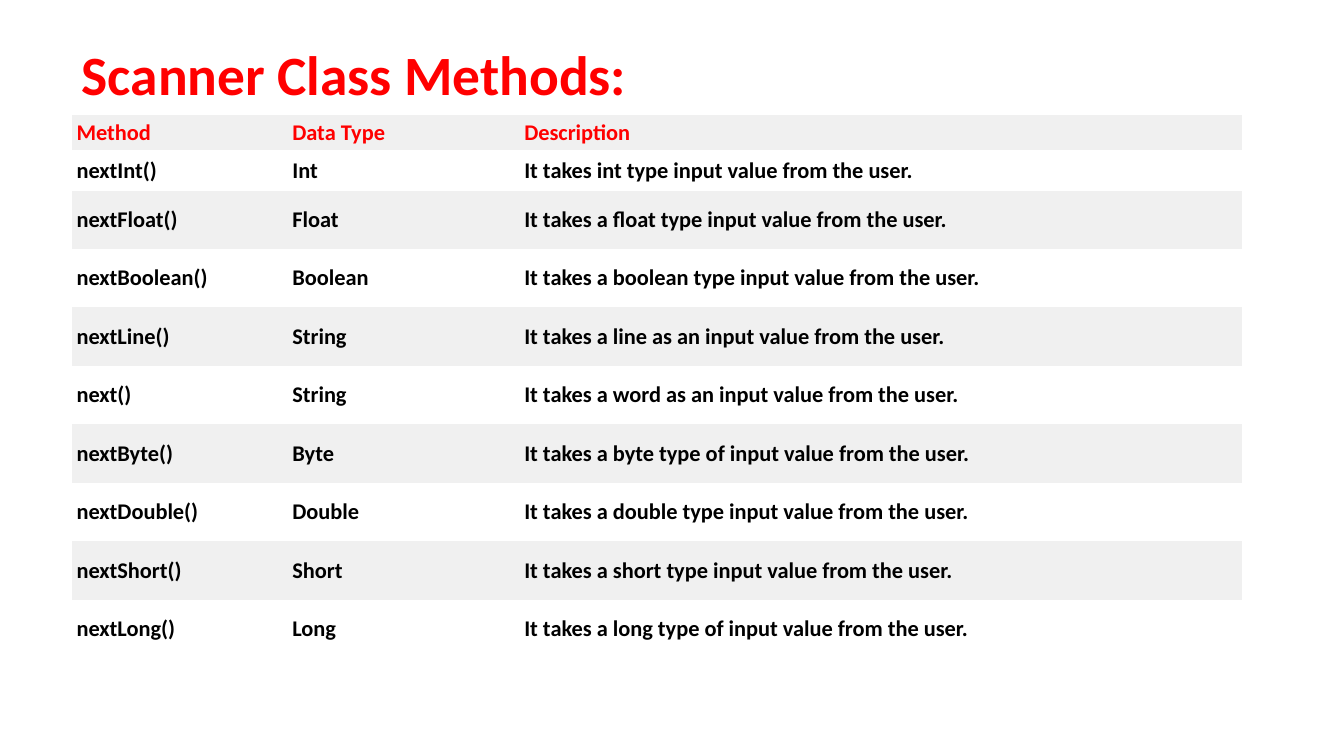
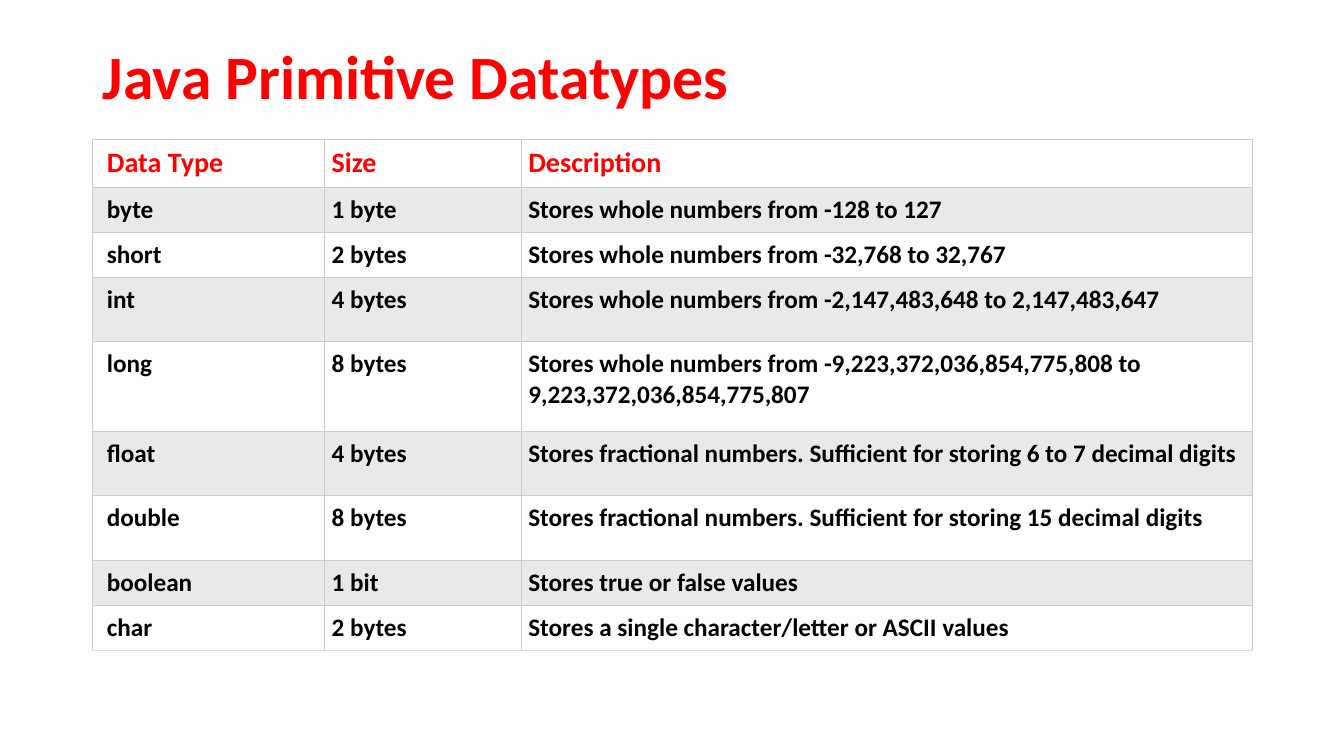
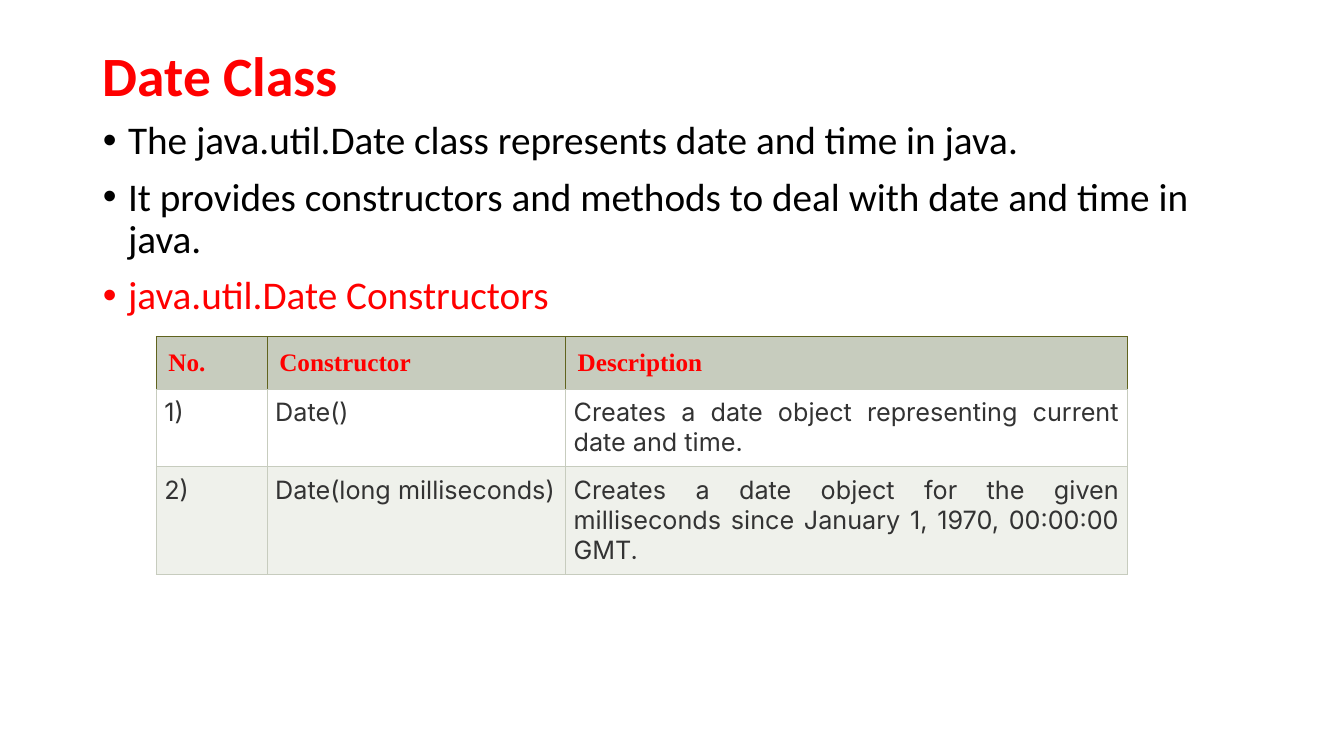
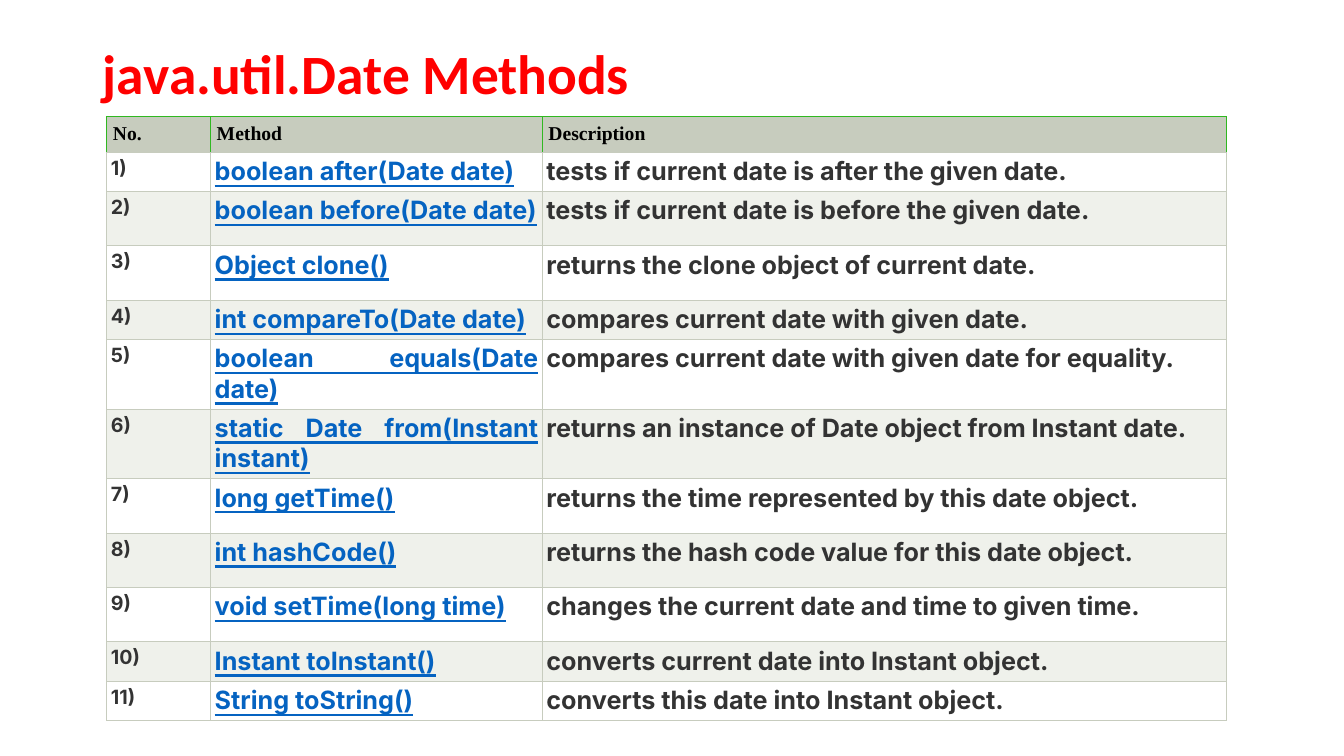
from dataclasses import dataclass, replace

from lxml import etree
from pptx import Presentation
from pptx.dml.color import RGBColor
from pptx.enum import text
from pptx.oxml.ns import qn
from pptx.util import Inches, Pt


# Colours, fonts and type sizes
class Theme:
    RED, BLACK, WHITE = "FF0000", "000000", "FFFFFF"
    DARK, LINK = "333333", "0563C1"
    PALE, SILVER, SAGE, MIST = "F0F0F0", "E7E9EB", "C7CCBE", "EFF1EB"
    GRID, GRID_END, OLIVE, GREEN = "CCCCCC", "DDDDDD", "60631E", "30B821"
    SANS, SERIF, INTER = "Calibri", "Times New Roman", "Inter"
    TITLE, TITLE_LARGE, BODY = 39.6, 44, 28
    LARGE, MEDIUM, SMALL, TINY = 20, 18, 16, 14


NO_TABLE_STYLE = "{2D5ABB26-0587-4C30-8999-92F81FD0307C}"
LEFT, JUSTIFY = text.PP_ALIGN.LEFT, text.PP_ALIGN.JUSTIFY
TOP, MIDDLE = text.MSO_ANCHOR.TOP, text.MSO_ANCHOR.MIDDLE


@dataclass
class TableLook:
    header: dict                # text format of the header row
    columns: list               # text format of each body column
    header_fill: str
    bands: tuple                # fills of odd and even body rows
    margins: tuple              # horizontal and vertical cell margin
    header_margins: tuple = None
    first_left: float = None    # left margin of the first column
    anchor: object = TOP
    grid: str = None
    header_grid: str = None
    end_grid: str = None        # line under the last row


SCANNER_LOOK = TableLook(
    header=dict(size=Theme.SMALL, color=Theme.RED, bold=True),
    columns=[dict(size=Theme.SMALL, bold=True)] * 3,
    header_fill=Theme.PALE, bands=(Theme.WHITE, Theme.PALE),
    margins=(0.05, 0.03), anchor=MIDDLE)

DATATYPE_LOOK = TableLook(
    header=dict(size=Theme.LARGE, color=Theme.RED, bold=True),
    columns=[dict(size=Theme.MEDIUM, bold=True)] * 3,
    header_fill=Theme.WHITE, bands=(Theme.SILVER, Theme.WHITE),
    margins=(0.07, 0.07), first_left=0.14,
    grid=Theme.GRID, end_grid=Theme.GRID_END)

DATE_TEXT = dict(size=Theme.MEDIUM, font=Theme.INTER, color=Theme.DARK,
                 align=JUSTIFY)
CONSTRUCTOR_LOOK = TableLook(
    header=dict(size=Theme.MEDIUM, font=Theme.SERIF, color=Theme.RED, bold=True),
    columns=[DATE_TEXT] * 3,
    header_fill=Theme.SAGE, bands=(Theme.WHITE, Theme.MIST),
    margins=(0.08, 0.08), header_margins=(0.12, 0.12),
    grid=Theme.SAGE, header_grid=Theme.OLIVE)

BOLD_DATE_TEXT = dict(DATE_TEXT, bold=True)
METHOD_LOOK = replace(
    CONSTRUCTOR_LOOK,
    header=dict(size=Theme.TINY, font=Theme.SERIF, bold=True),
    columns=[dict(BOLD_DATE_TEXT, size=Theme.TINY),
             dict(BOLD_DATE_TEXT, color=Theme.LINK, underline=True),
             BOLD_DATE_TEXT],
    margins=(0.04, 0.04), header_margins=(0.06, 0.06),
    header_grid=Theme.GREEN)


def write(paragraph, content, size=Theme.BODY, font=Theme.SANS,
          color=Theme.BLACK, bold=False, underline=False, align=LEFT,
          line_spacing=None, space_before=0):
    """Put one formatted run into a paragraph."""
    paragraph.alignment = align
    paragraph.space_before = Pt(space_before)
    if line_spacing:
        paragraph.line_spacing = line_spacing
    run = paragraph.add_run()
    run.text = content
    run.font.size = Pt(size)
    run.font.name = font
    run.font.bold = bold
    run.font.underline = underline
    run.font.color.rgb = RGBColor.from_string(color)


def place(shape, box):
    shape.left, shape.top, shape.width, shape.height = map(Inches, box)


def add_slide(presentation, layout, title, box, size=Theme.TITLE):
    """Add a slide with the shared title style."""
    slide = presentation.slides.add_slide(presentation.slide_layouts[layout])
    place(slide.shapes.title, box)
    frame = slide.shapes.title.text_frame
    frame.auto_size = text.MSO_AUTO_SIZE.NONE
    frame.vertical_anchor = MIDDLE
    write(frame.paragraphs[0], title, size=size, color=Theme.RED, bold=True,
          line_spacing=0.9)
    return slide


def fill_bullets(shape, box, items):
    """Fill the body placeholder with (text, colour) bullets."""
    place(shape, box)
    frame = shape.text_frame
    frame.auto_size = text.MSO_AUTO_SIZE.NONE
    for index, (content, color) in enumerate(items):
        paragraph = frame.add_paragraph() if index else frame.paragraphs[0]
        write(paragraph, content, color=color, line_spacing=0.9, space_before=10)
        properties = paragraph._p.get_or_add_pPr()
        properties.set("marL", str(Inches(0.25)))
        properties.set("indent", str(Inches(-0.25)))
        etree.SubElement(properties, qn("a:buFont"), typeface="Arial")
        etree.SubElement(properties, qn("a:buChar"), char="•")


def set_borders(cell, side_color, bottom_color):
    properties = cell._tc.get_or_add_tcPr()
    for edge in ("lnL", "lnR", "lnT", "lnB"):
        line = etree.SubElement(properties, qn(f"a:{edge}"), w=str(Pt(0.75)))
        fill = etree.SubElement(line, qn("a:solidFill"))
        color = bottom_color if edge == "lnB" else side_color
        etree.SubElement(fill, qn("a:srgbClr"), val=color)


def add_table(slide, left, top, widths, heights, rows, look):
    """Add a table whose first row is the header."""
    frame = slide.shapes.add_table(
        len(rows), len(widths), Inches(left), Inches(top),
        Inches(sum(widths)), Inches(sum(heights)))
    table = frame.table
    table.first_row = table.horz_banding = False
    table._tbl.tblPr.find(qn("a:tableStyleId")).text = NO_TABLE_STYLE
    for column, width in zip(table.columns, widths):
        column.width = Inches(width)
    for row, height in zip(table.rows, heights):
        row.height = Inches(height)

    for row_index, values in enumerate(rows):
        is_header = row_index == 0
        is_last = row_index == len(rows) - 1
        fill = look.header_fill if is_header else look.bands[(row_index - 1) % 2]
        margins = is_header and look.header_margins or look.margins
        side = is_header and look.header_grid or look.grid
        bottom = is_last and look.end_grid or look.grid
        for column_index, value in enumerate(values):
            cell = table.cell(row_index, column_index)
            cell.vertical_anchor = look.anchor
            cell.margin_left = cell.margin_right = Inches(margins[0])
            cell.margin_top = cell.margin_bottom = Inches(margins[1])
            if look.first_left and column_index == 0:
                cell.margin_left = Inches(look.first_left)
            if look.grid:
                set_borders(cell, side, bottom)
            cell.fill.solid()
            cell.fill.fore_color.rgb = RGBColor.from_string(fill)
            style = look.header if is_header else look.columns[column_index]
            write(cell.text_frame.paragraphs[0], value, **style)


def scanner_slide(presentation):
    slide = add_slide(presentation, 5, "Scanner Class Methods:",
                      (0.71, 0.4, 11.71, 0.74))
    kinds = [
        ("nextInt()", "Int", "int type"),
        ("nextFloat()", "Float", "a float type"),
        ("nextBoolean()", "Boolean", "a boolean type"),
        ("nextLine()", "String", "a line as an"),
        ("next()", "String", "a word as an"),
        ("nextByte()", "Byte", "a byte type of"),
        ("nextDouble()", "Double", "a double type"),
        ("nextShort()", "Short", "a short type"),
        ("nextLong()", "Long", "a long type of"),
    ]
    rows = [("Method", "Data Type", "Description")]
    rows += [(method, kind, f"It takes {what} input value from the user.")
             for method, kind, what in kinds]
    add_table(slide, 0.71, 1.14, [2.14, 2.3, 7.17],
              [0.35, 0.4] + [0.58] * 8, rows, SCANNER_LOOK)


def datatype_slide(presentation):
    slide = add_slide(presentation, 5, "Java Primitive Datatypes",
                      (0.92, 0.4, 11.5, 0.77), Theme.TITLE_LARGE)
    whole = "Stores whole numbers from "
    fraction = "Stores fractional numbers. Sufficient for storing "
    rows = [
        ("Data Type", "Size", "Description"),
        ("byte", "1 byte", whole + "-128 to 127"),
        ("short", "2 bytes", whole + "-32,768 to 32,767"),
        ("int", "4 bytes", whole + "-2,147,483,648 to 2,147,483,647"),
        ("long", "8 bytes",
         whole + "-9,223,372,036,854,775,808 to 9,223,372,036,854,775,807"),
        ("float", "4 bytes", fraction + "6 to 7 decimal digits"),
        ("double", "8 bytes", fraction + "15 decimal digits"),
        ("boolean", "1 bit", "Stores true or false values"),
        ("char", "2 bytes", "Stores a single character/letter or ASCII values"),
    ]
    add_table(slide, 0.92, 1.38, [2.3, 1.95, 7.25],
              [0.48, 0.44, 0.44, 0.64, 0.89, 0.64, 0.64, 0.44, 0.44],
              rows, DATATYPE_LOOK)


def date_class_slide(presentation):
    slide = add_slide(presentation, 1, "Date Class", (0.92, 0.4, 11.5, 0.76))
    fill_bullets(slide.placeholders[1], (0.92, 1.15, 11.5, 5.6), [
        ("The java.util.Date class represents date and time in java.",
         Theme.BLACK),
        ("It provides constructors and methods to deal with date and time "
         "in java.", Theme.BLACK),
        ("java.util.Date Constructors", Theme.RED),
    ])
    rows = [
        ("No.", "Constructor", "Description"),
        ("1)", "Date()",
         "Creates a date object representing current date and time."),
        ("2)", "Date(long milliseconds)",
         "Creates a date object for the given milliseconds since "
         "January 1, 1970, 00:00:00 GMT."),
    ]
    add_table(slide, 1.55, 3.34, [1.1, 2.96, 5.57], [0.52, 0.77, 1.07],
              rows, CONSTRUCTOR_LOOK)


def date_methods_slide(presentation):
    slide = add_slide(presentation, 5, "java.util.Date Methods",
                      (0.92, 0.38, 11.5, 0.76))
    methods = [
        ("boolean after(Date date)",
         "tests if current date is after the given date."),
        ("boolean before(Date date)",
         "tests if current date is before the given date."),
        ("Object clone()", "returns the clone object of current date."),
        ("int compareTo(Date date)", "compares current date with given date."),
        ("boolean equals(Date date)",
         "compares current date with given date for equality."),
        ("static Date from(Instant instant)",
         "returns an instance of Date object from Instant date."),
        ("long getTime()", "returns the time represented by this date object."),
        ("int hashCode()", "returns the hash code value for this date object."),
        ("void setTime(long time)",
         "changes the current date and time to given time."),
        ("Instant toInstant()", "converts current date into Instant object."),
        ("String toString()", "converts this date into Instant object."),
    ]
    rows = [("No.", "Method", "Description")]
    rows += [(f"{number})", *method) for number, method in enumerate(methods, 1)]
    heights = [0.35, 0.39, 0.54, 0.54, 0.39, 0.69, 0.69,
               0.54, 0.54, 0.54, 0.39, 0.39]
    add_table(slide, 1.06, 1.16, [1.03, 3.29, 6.78], heights, rows, METHOD_LOOK)


def main():
    presentation = Presentation()
    presentation.slide_width = Inches(13.33)
    presentation.slide_height = Inches(7.5)
    scanner_slide(presentation)
    datatype_slide(presentation)
    date_class_slide(presentation)
    date_methods_slide(presentation)
    presentation.save("out.pptx")


if __name__ == "__main__":
    main()
